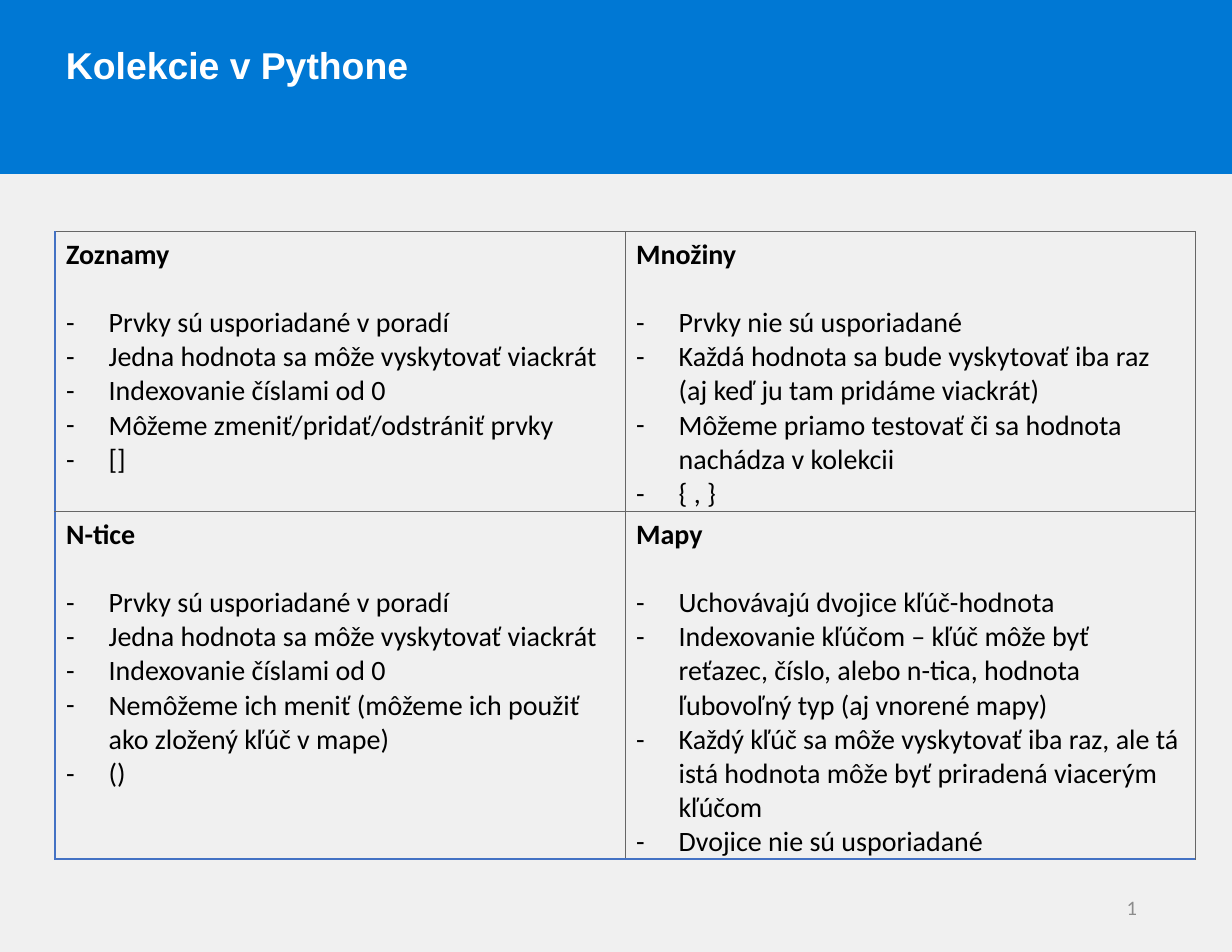
from lxml.etree import SubElement
from pptx import Presentation
from pptx.dml.color import RGBColor
from pptx.enum.shapes import MSO_SHAPE
from pptx.enum.text import MSO_ANCHOR, PP_ALIGN
from pptx.oxml.ns import qn
from pptx.util import Inches, Pt

COLORS = {
    "background": "F0F0F0", "banner": "0078D4", "white": "FFFFFF", "text": "000000",
    "number": "8C8C8C", "outline": "4472C4", "grid": "666666",
}
TITLE = "Kolekcie v Pythone"
COLLECTIONS = [
    [
        ("Zoznamy", [
            "Prvky sú usporiadané v poradí",
            "Jedna hodnota sa môže vyskytovať viackrát",
            "Indexovanie číslami od 0",
            "Môžeme zmeniť/pridať/odstrániť prvky",
            "[]",
        ]),
        ("Množiny", [
            "Prvky nie sú usporiadané",
            "Každá hodnota sa bude vyskytovať iba raz (aj keď ju tam pridáme viackrát)",
            "Môžeme priamo testovať či sa hodnota nachádza v kolekcii",
            "{ , }",
        ]),
    ],
    [
        ("N-tice", [
            "Prvky sú usporiadané v poradí",
            "Jedna hodnota sa môže vyskytovať viackrát",
            "Indexovanie číslami od 0",
            "Nemôžeme ich meniť (môžeme ich použiť ako zložený kľúč v mape)",
            "()",
        ]),
        ("Mapy", [
            "Uchovávajú dvojice kľúč-hodnota",
            "Indexovanie kľúčom – kľúč môže byť reťazec, číslo, alebo n-tica, "
            "hodnota ľubovoľný typ (aj vnorené mapy)",
            "Každý kľúč sa môže vyskytovať iba raz, ale tá istá hodnota môže byť "
            "priradená viacerým kľúčom",
            "Dvojice nie sú usporiadané",
        ]),
    ],
]
ROW_HEIGHTS = [2.5, 3.1]
COLUMN_WIDTH = 5.09


def color(name):
    """Return the named colour."""
    return RGBColor.from_string(COLORS[name])


def style(para, size, font, color_name, bold=False):
    """Format every run of a paragraph."""
    for span in para.runs:
        span.font.size = Pt(size)
        span.font.name = font
        span.font.bold = bold
        span.font.color.rgb = color(color_name)


def add_text(page, text, place):
    """Add a wrapping text box; return its frame and paragraph."""
    frame = page.shapes.add_textbox(*map(Inches, place)).text_frame
    frame.word_wrap = True
    frame.text = text
    return frame, frame.paragraphs[0]


def add_dash(para):
    """Give a paragraph a hanging dash."""
    props = para._p.get_or_add_pPr()
    props.set("marL", str(Inches(0.38)))
    props.set("indent", str(-Inches(0.38)))
    SubElement(props, qn("a:buFont"), typeface="Calibri")
    SubElement(props, qn("a:buChar"), char="-")


def set_borders(cell, borders):
    """Draw cell borders given as side, colour name and width."""
    props = cell._tc.get_or_add_tcPr()
    for side, color_name, width in borders:
        line = SubElement(props, qn(f"a:ln{side}"), w=str(Pt(width)))
        fill = SubElement(line, qn("a:solidFill"))
        SubElement(fill, qn("a:srgbClr"), val=COLORS[color_name])


def fill_cell(cell, heading, points):
    """Write a bold heading and its dashed points."""
    frame = cell.text_frame
    frame.text = "\n".join([heading, *points])
    first, *rest = frame.paragraphs
    style(first, 18, "Calibri", "text", bold=True)
    first.space_after = Pt(22)
    for para in rest:
        style(para, 18, "Calibri", "text")
        add_dash(para)
    cell.margin_bottom = 0


def add_collections(page):
    """Add the two by two table of collections."""
    columns = len(COLLECTIONS[0])
    table = page.shapes.add_table(
        len(COLLECTIONS), columns, Inches(0.49), Inches(2.07),
        Inches(COLUMN_WIDTH * columns), Inches(sum(ROW_HEIGHTS))).table
    table.first_row = table.horz_banding = False
    for column in table.columns:
        column.width = Inches(COLUMN_WIDTH)
    last = len(COLLECTIONS) - 1
    outline, grid = ("outline", 1), ("grid", 0.5)
    for r, entries in enumerate(COLLECTIONS):
        table.rows[r].height = Inches(ROW_HEIGHTS[r])
        for c, (heading, points) in enumerate(entries):
            cell = table.cell(r, c)
            fill_cell(cell, heading, points)
            set_borders(cell, [
                ("L", *(outline if c == 0 else grid)), ("R", *grid),
                ("T", *grid), ("B", *(outline if r == last else grid))])
            cell.fill.background()


def build():
    """Build and save the deck."""
    deck = Presentation()
    deck.slide_width, deck.slide_height = Inches(11), Inches(8.5)
    page = deck.slides.add_slide(deck.slide_layouts[6])
    page.background.fill.solid()
    page.background.fill.fore_color.rgb = color("background")

    banner = page.shapes.add_shape(MSO_SHAPE.RECTANGLE, 0, 0, Inches(11), Inches(1.55))
    banner.shadow.inherit = False
    banner.fill.solid()
    banner.fill.fore_color.rgb = color("banner")
    banner.line.color.rgb = color("banner")
    banner.line.width = Pt(1)

    _, title = add_text(page, TITLE, (0.49, 0.13, 10.18, 0.63))
    title.line_spacing = 1.5
    style(title, 24, "Arial", "white", bold=True)

    frame, number = add_text(page, "1", (7.77, 7.88, 2.48, 0.45))
    frame.vertical_anchor = MSO_ANCHOR.MIDDLE
    number.alignment = PP_ALIGN.RIGHT
    style(number, 13.2, "Calibri", "number")

    add_collections(page)
    deck.save("out.pptx")


build()
